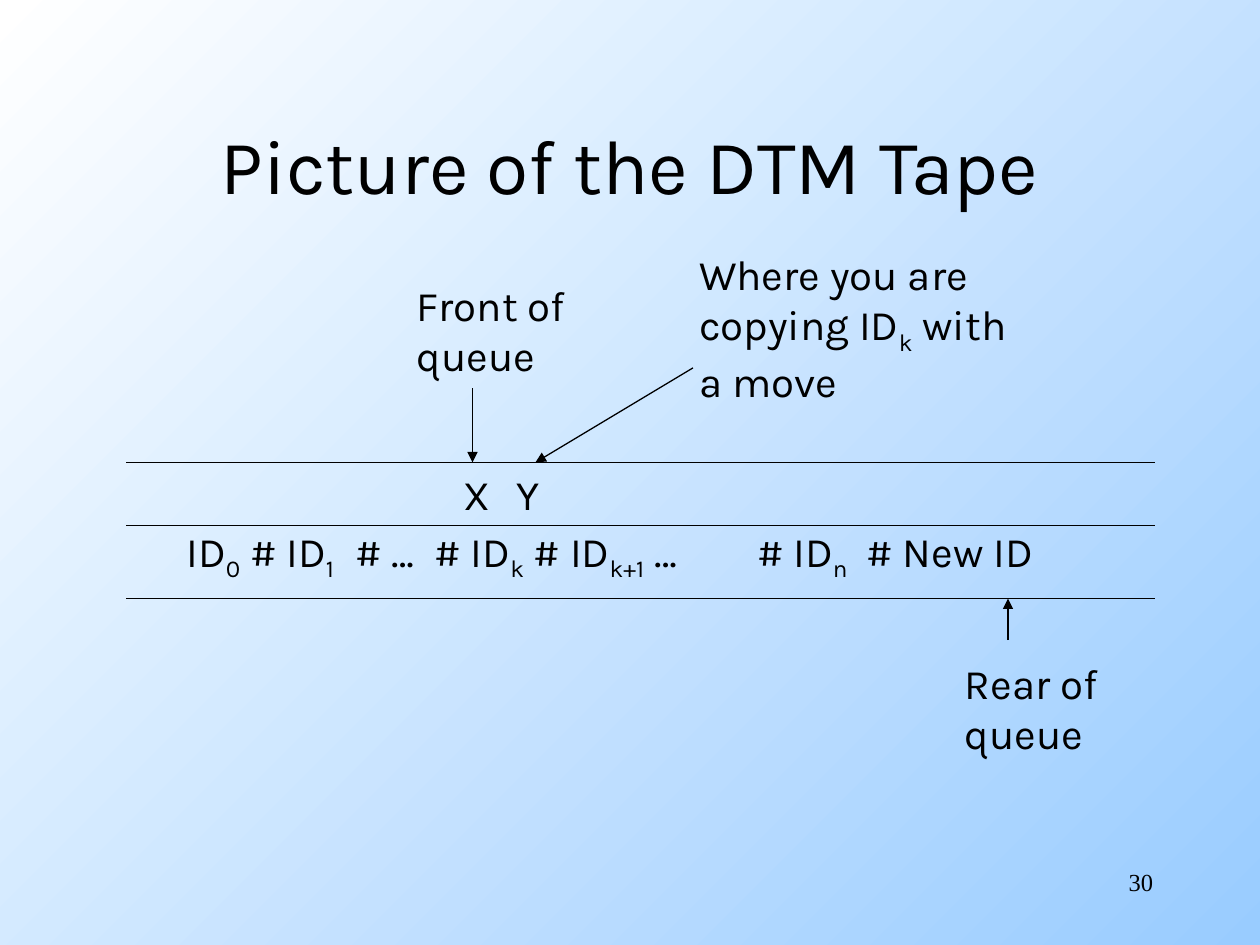
from lxml import etree
from pptx import Presentation
from pptx.dml.color import RGBColor
from pptx.enum.shapes import MSO_CONNECTOR
from pptx.enum.text import MSO_ANCHOR, MSO_AUTO_SIZE, PP_ALIGN
from pptx.oxml.ns import qn
from pptx.util import Inches, Pt

BLACK = RGBColor(0x00, 0x00, 0x00)
WHITE = RGBColor(0xFF, 0xFF, 0xFF)
SKY = RGBColor(0x99, 0xCC, 0xFF)
FONT = "Karla"

TAPE_LEFT, TAPE_RIGHT = 1, 9.17
TAPE_TOP, TAPE_MIDDLE, TAPE_BOTTOM = 3.67, 4.17, 4.75

# Each line is a list of pieces; a piece starting with "_" is a subscript.
TAPE = ["ID", "_0", " # ID", "_1", "\t# …\t# ID", "_k", " # ID", "_k+1",
        " …\t# ID", "_n", "\t# New ID"]
TAPE_TABS = [1.34, 1.97, 4.53, 5.4]


def set_background(s):
    fill = s.background.fill
    fill.gradient()
    fill.gradient_angle = 315
    for stop, color, position in zip(fill.gradient_stops, (WHITE, SKY), (0, 1)):
        stop.color.rgb = color
        stop.position = position


def add_tabs(p, stops):
    tabs = etree.SubElement(p._p.get_or_add_pPr(), qn("a:tabLst"))
    for stop in stops:
        etree.SubElement(tabs, qn("a:tab"), pos=str(Inches(stop)), algn="l")


def add_text(shapes, box, lines, size=24, font=FONT, align=PP_ALIGN.LEFT,
             anchor=MSO_ANCHOR.TOP, wrap=False, tabs=()):
    tf = shapes.add_textbox(*map(Inches, box)).text_frame
    tf.word_wrap = wrap
    tf.auto_size = MSO_AUTO_SIZE.NONE if wrap else MSO_AUTO_SIZE.SHAPE_TO_FIT_TEXT
    tf.vertical_anchor = anchor
    for i, line in enumerate(lines):
        p = tf.paragraphs[0] if i == 0 else tf.add_paragraph()
        p.alignment = align
        if tabs:
            add_tabs(p, tabs)
        p.font.size = Pt(size)
        p.font.name = font
        p.font.color.rgb = BLACK
        for piece in line:
            r = p.add_run()
            r.text = piece.removeprefix("_")
            if piece.startswith("_"):
                r.font._element.set("baseline", "-25000")


def add_line(shapes, start, end, arrow=False):
    line = shapes.add_connector(MSO_CONNECTOR.STRAIGHT, *map(Inches, start + end))
    line.line.color.rgb = BLACK
    line.line.width = Pt(0.75)
    if arrow:
        etree.SubElement(line.line._get_or_add_ln(), qn("a:tailEnd"), type="triangle")
    etree.SubElement(line._element.spPr, qn("a:effectLst"))


def add_pointer(shapes, box, lines, start, end):
    """Label with an arrow to a place on the tape."""
    group = shapes.add_group_shape().shapes
    add_text(group, box, lines)
    add_line(group, start, end, arrow=True)


def add_tape(shapes):
    for y in (TAPE_TOP, TAPE_MIDDLE, TAPE_BOTTOM):
        add_line(shapes, (TAPE_LEFT, y), (TAPE_RIGHT, y))
    add_text(shapes, (1.38, 4.12, 7.71, 0.56), [TAPE], wrap=True, tabs=TAPE_TABS)
    for mark, x in (("X", 3.58), ("Y", 4)):
        add_text(shapes, (x, TAPE_TOP, 0.39, 0.5), [[mark]])


def main():
    prs = Presentation()
    prs.slide_width, prs.slide_height = Inches(10), Inches(7.5)
    s = prs.slides.add_slide(prs.slide_layouts[6])
    set_background(s)

    add_text(s.shapes, (7.17, 6.83, 2.08, 0.5), [["30"]], size=14,
             font="Times New Roman", align=PP_ALIGN.RIGHT, wrap=True)
    add_text(s.shapes, (0.75, 0.67, 8.5, 1.25), [["Picture of the DTM Tape"]],
             size=44, align=PP_ALIGN.CENTER, anchor=MSO_ANCHOR.MIDDLE, wrap=True)
    add_tape(s.shapes)
    add_pointer(s.shapes, (3.21, 2.17, 1.44, 0.9), [["Front of"], ["queue"]],
                (3.75, 3.08), (3.75, TAPE_TOP))
    add_pointer(s.shapes, (5.45, 1.92, 2.83, 1.36),
                [["Where you are"], ["copying ID", "_k", " with"], ["a move"]],
                (5.5, 2.92), (4.25, TAPE_TOP))
    add_pointer(s.shapes, (7.56, 5.17, 1.32, 0.9), [["Rear of"], ["queue"]],
                (8, 5.08), (8, TAPE_BOTTOM))

    prs.save("out.pptx")


if __name__ == "__main__":
    main()
